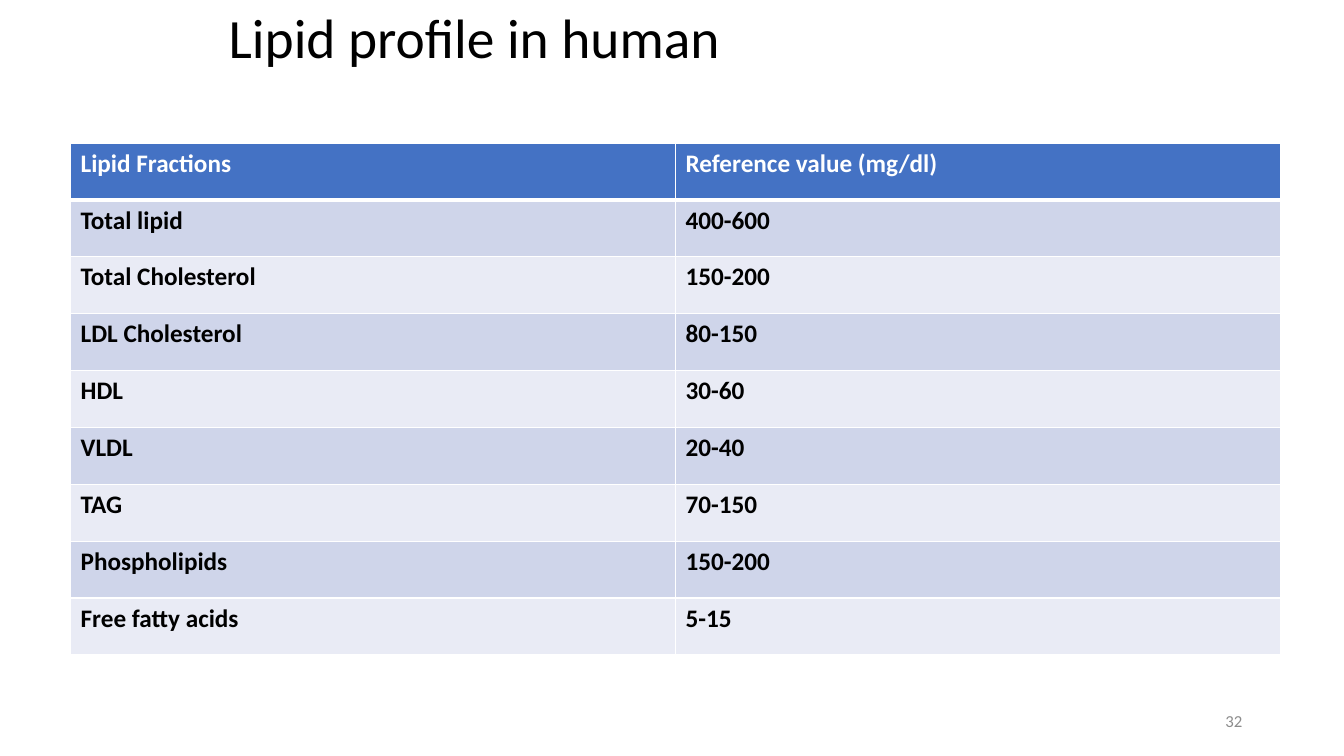
from lxml import etree
from pptx import Presentation
from pptx.dml.color import RGBColor
from pptx.enum.text import MSO_ANCHOR as Anchor, PP_ALIGN as Align
from pptx.oxml.ns import qn
from pptx.util import Inches, Pt

BLACK = RGBColor(0x00, 0x00, 0x00)
WHITE = RGBColor(0xFF, 0xFF, 0xFF)
GRAY = RGBColor(0x8C, 0x8C, 0x8C)
HEADER_BLUE = RGBColor(0x44, 0x72, 0xC4)
BANDS = (RGBColor(0xE9, 0xEB, 0xF5), RGBColor(0xCF, 0xD5, 0xEA))

LIPID_ROWS = [
    ("Lipid Fractions", "Reference value (mg/dl)"),
    ("Total lipid", "400-600"),
    ("Total Cholesterol", "150-200"),
    ("LDL Cholesterol", "80-150"),
    ("HDL", "30-60"),
    ("VLDL", "20-40"),
    ("TAG", "70-150"),
    ("Phospholipids", "150-200"),
    ("Free fatty acids", "5-15"),
]


def write(tf, text, size=18, color=BLACK, bold=False, align=Align.LEFT, spacing=None):
    p = tf.paragraphs[0]
    p.alignment = align
    if spacing:
        p.line_spacing = spacing
    r = p.add_run()
    r.text = text
    r.font.name = "Calibri"
    r.font.size = Pt(size)
    r.font.bold = bold
    r.font.color.rgb = color


def set_borders(cell, **widths):
    """Draw white cell borders; widths maps lnL, lnR, lnT, lnB to points."""
    tc_pr = cell._tc.get_or_add_tcPr()
    for side, width in widths.items():
        ln = etree.SubElement(tc_pr, qn(f"a:{side}"), w=str(Pt(width)))
        fill = etree.SubElement(ln, qn("a:solidFill"))
        etree.SubElement(fill, qn("a:srgbClr"), val=str(WHITE))


class LipidSlide:
    def __init__(self, prs):
        self.s = prs.slides.add_slide(prs.slide_layouts[6])

    def text(self, text, left, top, width, height, **style):
        sp = self.s.shapes.add_textbox(
            Inches(left), Inches(top), Inches(width), Inches(height))
        tf = sp.text_frame
        tf.word_wrap = True
        tf.vertical_anchor = Anchor.MIDDLE
        write(tf, text, **style)

    def table(self, rows, left, top, width, height):
        table = self.s.shapes.add_table(
            len(rows), len(rows[0]),
            Inches(left), Inches(top), Inches(width), Inches(height)).table
        for i, row in enumerate(rows):
            header = i == 0
            for j, text in enumerate(row):
                cell = table.cell(i, j)
                set_borders(cell, lnL=1, lnR=1, lnT=3 if i == 1 else 1,
                            lnB=3 if header else 1)
                cell.fill.solid()
                cell.fill.fore_color.rgb = HEADER_BLUE if header else BANDS[i % 2]
                write(cell.text_frame, text, bold=True,
                      color=WHITE if header else BLACK)


def main():
    prs = Presentation()
    prs.slide_width, prs.slide_height = Inches(13.33), Inches(7.5)
    slide = LipidSlide(prs)
    slide.text("Lipid profile in human", 2.17, 0.3, 9, 0.2, size=39.6, spacing=0.9)
    slide.table(LIPID_ROWS, 0.7, 1.42, 12, 5.08)
    slide.text("32", 9.42, 6.95, 3, 0.4, size=12, color=GRAY, align=Align.RIGHT)
    prs.save("out.pptx")


if __name__ == "__main__":
    main()
